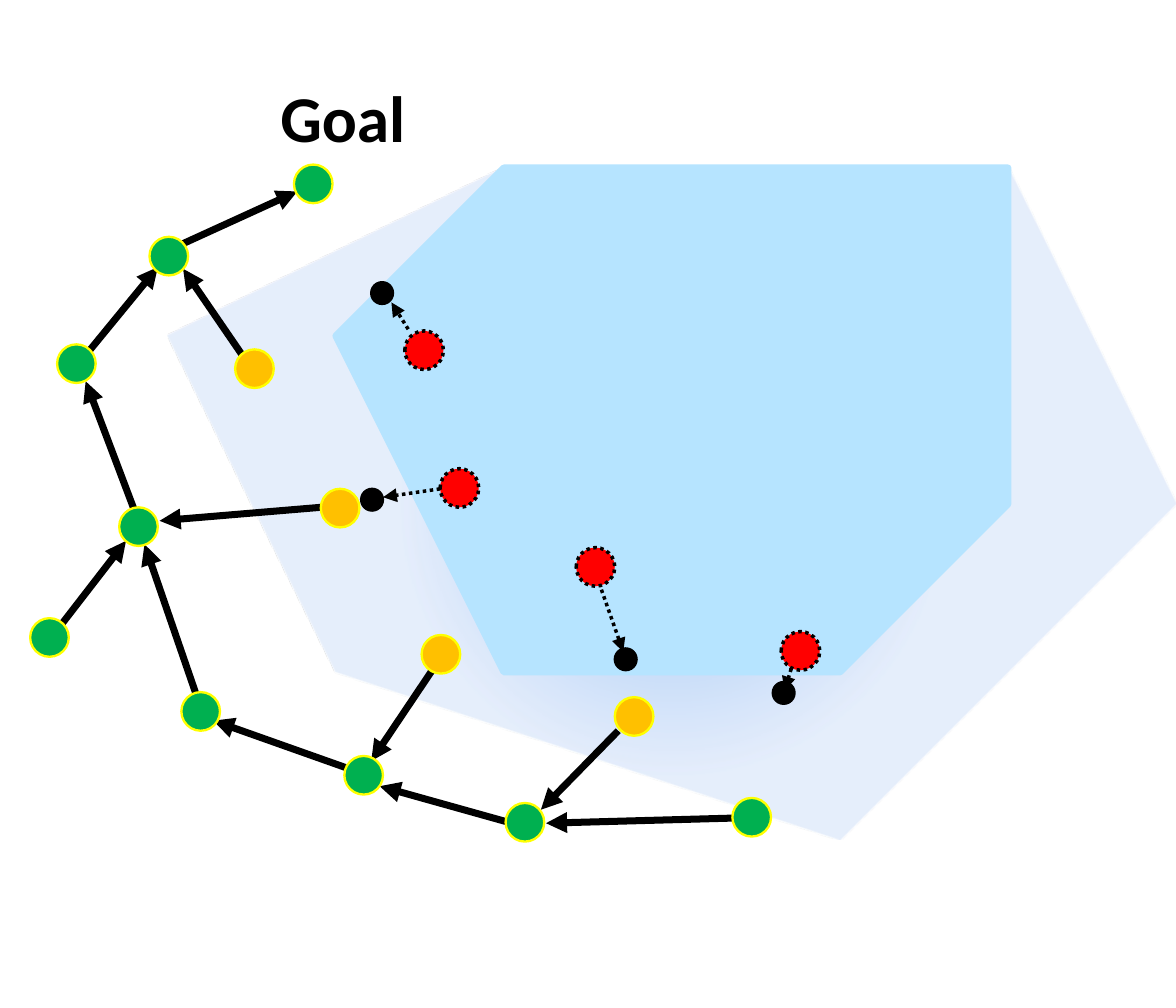
import pptx
import pptx.dml.color
import pptx.enum.dml
import pptx.enum.shapes
import pptx.enum.text
import pptx.oxml
import pptx.oxml.ns
import pptx.util
from pptx.util import Inches

BLACK, GREEN, AMBER, RED, YELLOW = "000000", "00B050", "FFC000", "FF0000", "FFFF00"
SKY = "B6E4FF"
NODE_SIZE, PROJECTION_SIZE = 0.23, 0.13
DOTTED = pptx.enum.dml.MSO_LINE.ROUND_DOT

MARGIN_OUTLINE = [(2.89, 0.9), (1.06, 2.08), (2.36, 4.09), (5.17, 4.68), (6.95, 2.65), (6.25, 0.9)]
OBSTACLE_OUTLINE = [(1.65, 2.15), (2.67, 3.75), (4.98, 4.24), (6.46, 2.58), (5.91, 1.23), (3.1, 1.24)]
# Position in percent, colour, opacity in percent
MARGIN_STOPS = [(0, "9AC3F5", 100), (36, "D8E6FA", 100), (45, "E1EBFB", 84), (100, "E1EBFB", 84)]

ROADMAP_EDGES = [
    ((1.46, 2.14), (1.09, 1.6)), ((2.64, 3.89), (2.21, 4.53)),
    ((4.36, 4.87), (3.25, 4.9)), ((2.06, 4.57), (1.27, 4.29)),
    ((1.18, 4.17), (0.86, 3.24)), ((0.24, 3.88), (0.75, 3.22)),
    ((0.82, 3.09), (0.51, 2.27)), ((1.91, 3.02), (0.95, 3.1)),
    ((1.09, 1.45), (1.77, 1.14)), ((3.68, 4.35), (3.22, 4.82)),
    ((0.53, 2.09), (0.94, 1.59)), ((3.01, 4.89), (2.26, 4.68)),
]
PROJECTION_EDGES = [
    ((2.43, 1.96), (2.33, 1.8)), ((2.62, 2.91), (2.28, 2.96)),
    ((3.58, 3.51), (3.71, 3.88)), ((4.71, 3.98), (4.67, 4.11)),
]
FREE_NODES = [
    (1.75, 0.98), (0.89, 1.41), (0.34, 2.05), (0.71, 3.02), (0.18, 3.68),
    (1.08, 4.12), (2.05, 4.5), (3.01, 4.78), (4.36, 4.75),
]
RETRACTED_NODES = [(1.4, 2.08), (1.91, 2.91), (2.51, 3.78), (3.66, 4.15)]
COLLIDING_NODES = [(2.41, 1.97), (2.62, 2.79), (3.43, 3.26), (4.65, 3.76)]
BOUNDARY_POINTS = [(2.21, 1.68), (2.15, 2.91), (3.66, 3.86), (4.6, 4.06)]


def rgb(value):
    return pptx.dml.color.RGBColor.from_string(value)


class RoadmapSlide:
    def __init__(self, deck):
        self.font = "Calibri"
        self.shapes = deck.slides.add_slide(deck.slide_layouts[6]).shapes

    def style_line(self, line, color, width, dash=None):
        line.color.rgb = rgb(color)
        line.width = pptx.util.Pt(width)
        if dash is not None:
            line.dash_style = dash

    def polygon(self, outline):
        builder = self.shapes.build_freeform(*outline[0], scale=Inches(1))
        builder.add_line_segments(outline[1:], close=True)
        region = builder.convert_to_shape()
        region.shadow.inherit = False
        return region

    def gradient_polygon(self, outline, stops):
        """Fill a polygon with a circular gradient spreading from its centre."""
        region = self.polygon(outline)
        region.line.fill.background()
        region.fill.gradient()
        gradient = region.element.spPr.find(pptx.oxml.ns.qn("a:gradFill"))
        stop_xml = "".join(
            f'<a:gs pos="{pos * 1000}"><a:srgbClr val="{color}">'
            f'<a:alpha val="{opacity * 1000}"/></a:srgbClr></a:gs>'
            for pos, color, opacity in stops
        )
        circular = pptx.oxml.parse_xml(
            f'<a:gradFill {pptx.oxml.ns.nsdecls("a")} rotWithShape="1">'
            f'<a:gsLst>{stop_xml}</a:gsLst><a:path path="circle">'
            '<a:fillToRect l="50000" t="50000" r="50000" b="50000"/></a:path></a:gradFill>'
        )
        gradient.getparent().replace(gradient, circular)

    def solid_polygon(self, outline, color, line_width):
        region = self.polygon(outline)
        region.fill.solid()
        region.fill.fore_color.rgb = rgb(color)
        self.style_line(region.line, color, line_width)

    def arrow(self, start, end, width, dash=None):
        edge = self.shapes.add_connector(
            pptx.enum.shapes.MSO_CONNECTOR.STRAIGHT, *map(Inches, start + end)
        )
        self.style_line(edge.line, BLACK, width, dash)
        decls = pptx.oxml.ns.nsdecls("a")
        edge.line._get_or_add_ln().append(
            pptx.oxml.parse_xml(f'<a:tailEnd {decls} type="triangle"/>')
        )
        edge.element.spPr.append(pptx.oxml.parse_xml(f"<a:effectLst {decls}/>"))

    def node(self, corner, size, fill, outline, line_width=1, dash=None):
        disc = self.shapes.add_shape(
            pptx.enum.shapes.MSO_SHAPE.FLOWCHART_CONNECTOR,
            *map(Inches, corner + (size, size)),
        )
        disc.shadow.inherit = False
        disc.fill.solid()
        disc.fill.fore_color.rgb = rgb(fill)
        self.style_line(disc.line, outline, line_width, dash)

    def label(self, text, box, size):
        caption = self.shapes.add_textbox(*map(Inches, box)).text_frame
        caption.word_wrap = True
        caption.auto_size = pptx.enum.text.MSO_AUTO_SIZE.SHAPE_TO_FIT_TEXT
        caption.text = text
        font = caption.paragraphs[0].runs[0].font
        font.name, font.size, font.bold = self.font, pptx.util.Pt(size), True
        font.color.rgb = rgb(BLACK)


def main():
    deck = pptx.Presentation()
    deck.slide_width, deck.slide_height = Inches(7), Inches(6)
    roadmap = RoadmapSlide(deck)

    roadmap.gradient_polygon(MARGIN_OUTLINE, MARGIN_STOPS)
    roadmap.solid_polygon(OBSTACLE_OUTLINE, SKY, 3)
    for start, end in ROADMAP_EDGES:
        roadmap.arrow(start, end, 3)
    for start, end in PROJECTION_EDGES:
        roadmap.arrow(start, end, 1.5, DOTTED)

    for corners, size, *look in [
        (FREE_NODES, NODE_SIZE, GREEN, YELLOW),
        (RETRACTED_NODES, NODE_SIZE, AMBER, YELLOW),
        (COLLIDING_NODES, NODE_SIZE, RED, BLACK, 1.5, DOTTED),
        (BOUNDARY_POINTS, PROJECTION_SIZE, BLACK, BLACK),
    ]:
        for corner in corners:
            roadmap.node(corner, size, *look)

    roadmap.label("Goal", (1.57, 0.41, 1.05, 0.57), 28)
    deck.save("out.pptx")


if __name__ == "__main__":
    main()
